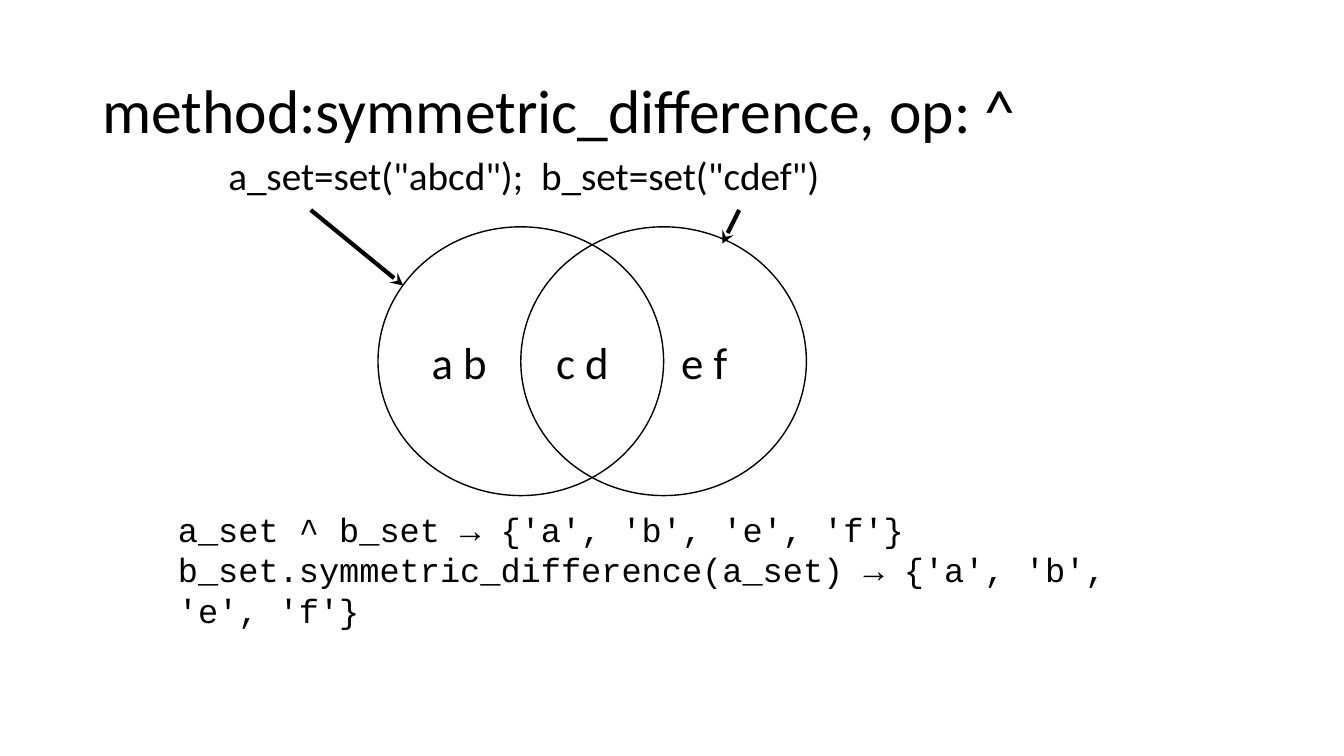
"""Build a slide that explains the symmetric difference of two sets."""
from lxml import etree
from pptx import Presentation
from pptx import util as u
from pptx.dml import color
from pptx.enum import shapes, text
from pptx.oxml import ns


def hex_color(value):
    return color.RGBColor.from_string(value)


class VennSlide:
    ink = "000000"
    body_font = "Calibri"
    code_font = "Courier New"

    def __init__(self, deck):
        self.page = deck.slides.add_slide(deck.slide_layouts[6])

    def text_box(self, left, top, width, height, lines, size, font=body_font,
                 anchor=text.MSO_ANCHOR.TOP, align=text.PP_ALIGN.LEFT, spacing=1.0):
        box = self.page.shapes.add_textbox(*map(u.Pt, (left, top, width, height)))
        frame = box.text_frame
        frame.word_wrap = True
        frame.vertical_anchor = anchor
        for index, line in enumerate(lines):
            para = frame.add_paragraph() if index else frame.paragraphs[0]
            para.alignment = align
            para.line_spacing = spacing
            span = para.add_run()
            span.text = line
            span.font.name = font
            span.font.size = u.Pt(size)
            span.font.color.rgb = hex_color(self.ink)

    def label(self, center_x, center_y, words):
        width, height = 72, 48
        self.text_box(center_x - width / 2, center_y - height / 2, width, height,
                      [words], 32, anchor=text.MSO_ANCHOR.MIDDLE,
                      align=text.PP_ALIGN.CENTER)

    def circle(self, left, top, width, height):
        oval = self.page.shapes.add_shape(
            shapes.MSO_SHAPE.OVAL, *map(u.Pt, (left, top, width, height)))
        oval.shadow.inherit = False
        oval.fill.background()
        oval.line.color.rgb = hex_color(self.ink)
        oval.line.width = u.Pt(1)

    def arrow(self, *ends):
        line = self.page.shapes.add_connector(
            shapes.MSO_CONNECTOR.STRAIGHT, *map(u.Pt, ends))
        line.line.color.rgb = hex_color(self.ink)
        line.line.width = u.Pt(3)
        props = line._element.spPr
        etree.SubElement(props.get_or_add_ln(), ns.qn("a:tailEnd"), type="stealth")
        etree.SubElement(props, ns.qn("a:effectLst"))


def main():
    deck = Presentation()
    deck.slide_width, deck.slide_height = u.Pt(960), u.Pt(540)
    slide = VennSlide(deck)

    slide.text_box(66, 29, 828, 104, ["method:symmetric_difference, op: ^"], 44,
                   anchor=text.MSO_ANCHOR.MIDDLE, spacing=0.9)
    slide.text_box(156, 108, 684, 374, ['a_set=set("abcd");  b_set=set("cdef")'], 28,
                   spacing=0.9)
    slide.text_box(120, 360, 720, 150,
                   ["a_set ^ b_set → {'a', 'b', 'e', 'f'}",
                    "b_set.symmetric_difference(a_set) → {'a', 'b', 'e', 'f'}"],
                   24, font=slide.code_font)

    for left in (372, 270):
        slide.circle(left, 162, 204, 192)
    for center, members in ((328, "a b"), (416, "c d"), (503, "e f")):
        slide.label(center, 258, members)

    slide.arrow(222, 150, 288, 204)
    slide.arrow(528, 150, 516, 174)
    deck.save("out.pptx")


if __name__ == "__main__":
    main()
